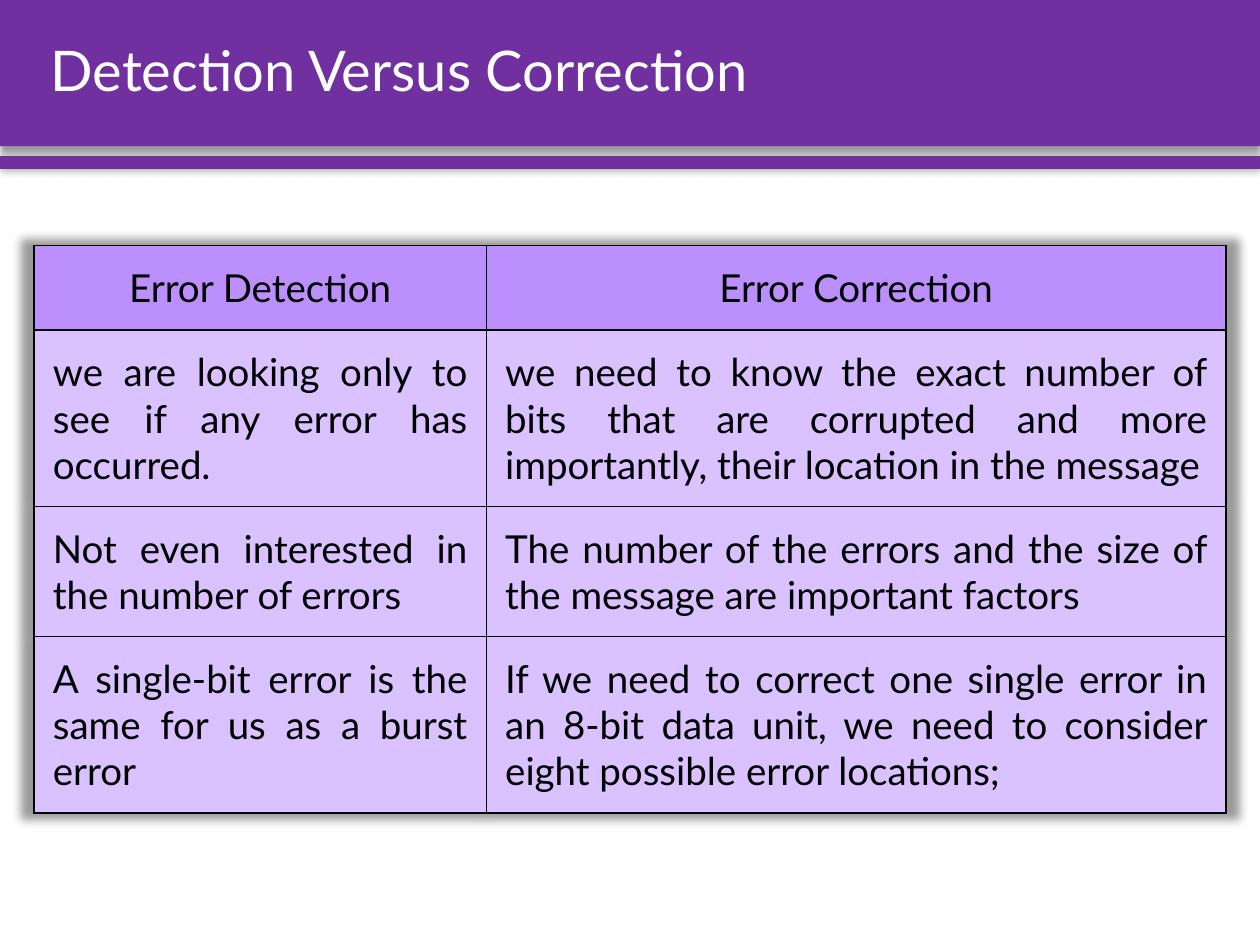
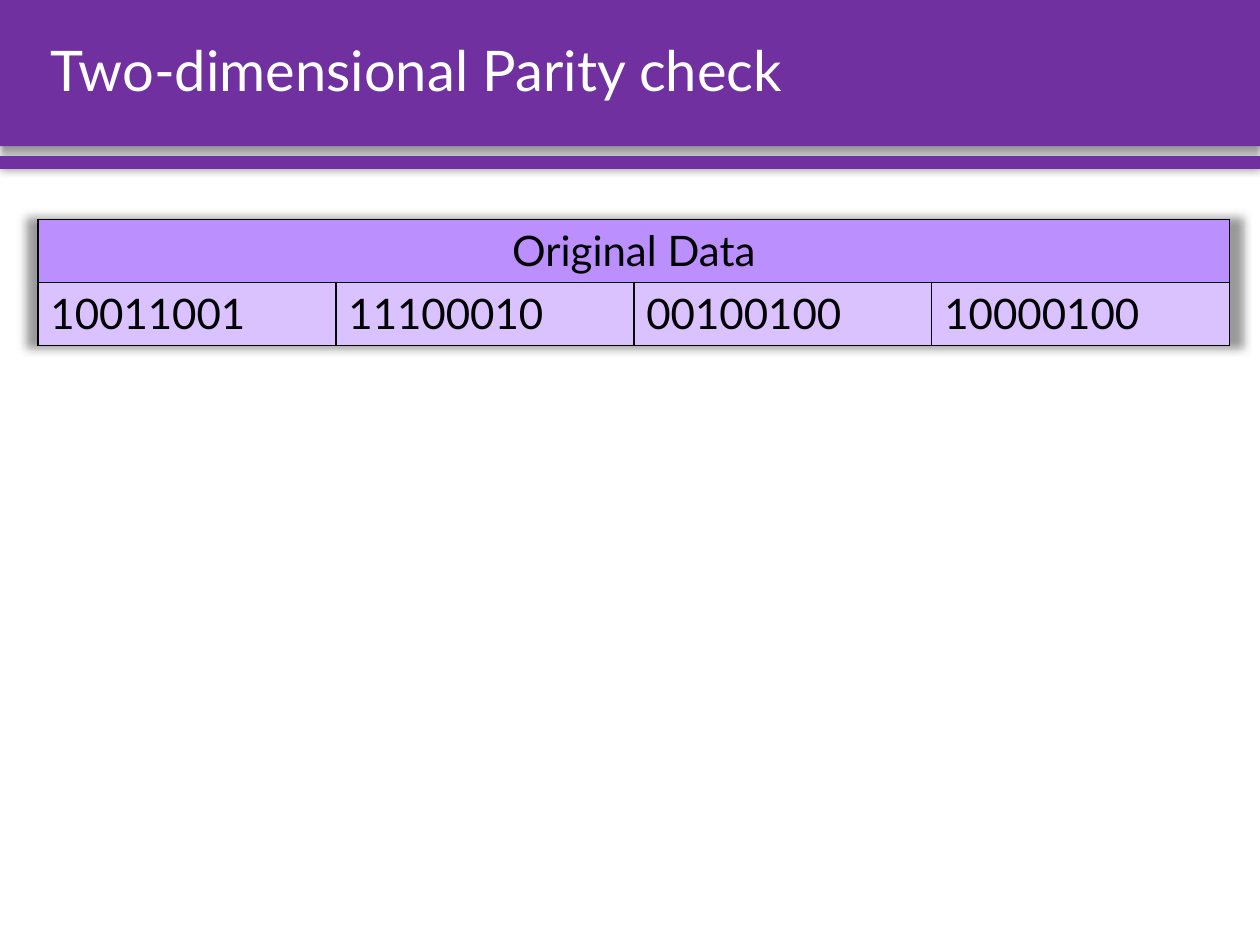
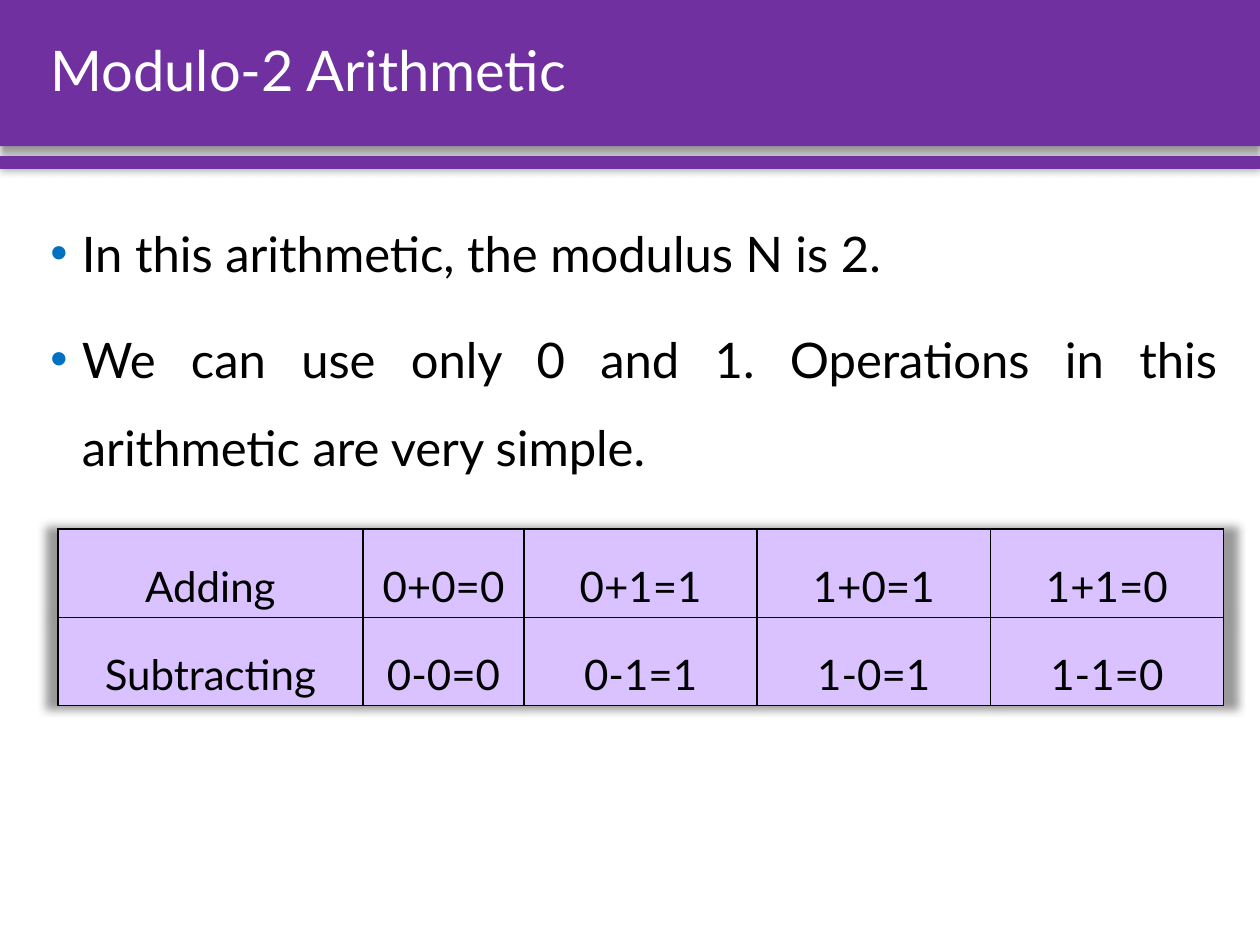
from lxml import etree
from pptx import Presentation
from pptx.dml.color import RGBColor
from pptx.enum.shapes import MSO_SHAPE
from pptx.enum.text import MSO_ANCHOR, MSO_AUTO_SIZE, PP_ALIGN
from pptx.oxml.ns import qn
from pptx.util import Inches, Pt

RECTANGLE = MSO_SHAPE.RECTANGLE
LEFT, CENTER, JUSTIFY = PP_ALIGN.LEFT, PP_ALIGN.CENTER, PP_ALIGN.JUSTIFY
TOP, MIDDLE = MSO_ANCHOR.TOP, MSO_ANCHOR.MIDDLE
NO_AUTOFIT = MSO_AUTO_SIZE.NONE

WIDTH, HEIGHT = 10, 7.5
FONT = "Lato"
PURPLE, HEADER_LILAC, CELL_LILAC = "7030A0", "BC8FFF", "DAC1FF"
WHITE, BLACK, BULLET_BLUE = "FFFFFF", "000000", "0070C0"
TEXT_LEFT, TEXT_WIDTH = 0.3, 9.46
TITLE_HEIGHT = 1.16
TITLE_ONLY, TITLE_AND_BODY = 5, 1

COMPARISON = [
    ["Error Detection", "Error Correction"],
    ["we are looking only to see if any error has occurred.",
     "we need to know the exact number of bits that are corrupted and more "
     "importantly, their location in the message"],
    ["Not even interested in the number of errors",
     "The number of the errors and the size of the message are important factors"],
    ["A single-bit error is the same for us as a burst error",
     "If we need to correct one single error in an 8-bit data unit, we need to "
     "consider eight possible error locations;"],
]
PARITY_DATA = [
    ["Original Data", "", "", ""],
    ["10011001", "11100010", "00100100", "10000100"],
]
MODULO_RULES = [
    ["Adding", "0+0=0", "0+1=1", "1+0=1", "1+1=0"],
    ["Subtracting", "0-0=0", "0-1=1", "1-0=1", "1-1=0"],
]
MODULO_POINTS = [
    "In this arithmetic, the modulus N is 2.",
    "We can use only 0 and 1. Operations in this arithmetic are very simple.",
]


def rgb(value):
    """Turn a hex string into a colour."""
    return RGBColor.from_string(value)


def set_all(target, values):
    """Set each attribute of target from a dict."""
    for name, value in values.items():
        setattr(target, name, value)


def add_xml(parent, tag, **attributes):
    """Append a DrawingML element with the given attributes."""
    child = etree.SubElement(parent, qn(tag))
    for name, value in attributes.items():
        child.set(name, str(value))
    return child


def add_shadow(effects, blur, **attributes):
    """Put a soft black shadow in an effect list."""
    shadow = add_xml(effects, "a:outerShdw", blurRad=Pt(blur), **attributes)
    black = add_xml(shadow, "a:srgbClr", val=BLACK)
    add_xml(black, "a:alpha", val=40000)


def write(paragraph, text, size, color, **layout):
    """Write one formatted run into a paragraph."""
    set_all(paragraph, layout)
    run = paragraph.add_run()
    run.text = text
    set_all(run.font, {"name": FONT, "size": Pt(size), "bold": False})
    run.font.color.rgb = rgb(color)


def place(shape, left, top, width, height):
    """Move and size a shape, in inches."""
    set_all(shape, {"left": Inches(left), "top": Inches(top),
                    "width": Inches(width), "height": Inches(height)})


def add_band(slide, master, top, height, blur, **shadow):
    """Draw a full-width band and hand it to the master."""
    band = slide.shapes.add_shape(RECTANGLE, 0, Inches(top), Inches(WIDTH), Inches(height))
    band.fill.solid()
    band.fill.fore_color.rgb = rgb(PURPLE)
    band.line.fill.background()
    band.shadow.inherit = False
    add_shadow(band.element.spPr.find(qn("a:effectLst")), blur, **shadow)
    master.shapes.element.insert(2, band.element)


def style_master(slide, master):
    """Set the bands and the text areas that all slides share."""
    title, body = master.placeholders[0], master.placeholders[1]
    place(title, TEXT_LEFT, 0, TEXT_WIDTH, TITLE_HEIGHT)
    place(body, TEXT_LEFT, 1.49, TEXT_WIDTH, 2.71)
    for area, anchor in ((title, MIDDLE), (body, TOP)):
        set_all(area.text_frame, {"vertical_anchor": anchor, "auto_size": NO_AUTOFIT})
    add_band(slide, master, 1.24, 0.1, 5)
    add_band(slide, master, 0, TITLE_HEIGHT, 4, dist=Pt(3), dir=90 * 60000)


def add_slide(deck, layout, title):
    """Add a slide with its title."""
    slide = deck.slides.add_slide(deck.slide_layouts[layout])
    write(slide.shapes.title.text_frame.paragraphs[0], title, 32, WHITE,
          alignment=LEFT, line_spacing=0.9)
    return slide


def add_bullets(slide, points):
    """Fill the body placeholder with a bulleted list."""
    frame = slide.placeholders[1].text_frame
    for index, point in enumerate(points):
        paragraph = frame.add_paragraph() if index else frame.paragraphs[0]
        properties = paragraph._p.get_or_add_pPr()
        properties.set("marL", str(Inches(0.25)))
        properties.set("indent", str(-Inches(0.25)))
        add_xml(add_xml(properties, "a:buClr"), "a:srgbClr", val=BULLET_BLUE)
        add_xml(properties, "a:buFont", typeface="Arial")
        add_xml(properties, "a:buChar", char="•")
        write(paragraph, point, 28, BLACK, alignment=JUSTIFY, line_spacing=1.5,
              space_before=Pt(10 if index else 0))


def style_cell(cell, fill, inset):
    """Give a cell its borders, fill and optional equal margins."""
    properties = cell._tc.get_or_add_tcPr()
    for side in "LRTB":
        border = add_xml(properties, f"a:ln{side}", w=Pt(1))
        add_xml(add_xml(border, "a:solidFill"), "a:srgbClr", val=BLACK)
    cell.fill.solid()
    cell.fill.fore_color.rgb = rgb(fill)
    if inset:
        sides = ("left", "right", "top", "bottom")
        set_all(cell, {f"margin_{side}": Inches(inset) for side in sides})


def add_grid(slide, rows, left, top, widths, heights, size, align,
             header=False, inset=None, spacing=1.0):
    """Add a shadowed table, with a header row if asked."""
    frame = slide.shapes.add_table(len(rows), len(widths), Inches(left), Inches(top),
                                   Inches(sum(widths)), Inches(sum(heights)))
    table = frame.table
    set_all(table, {"first_row": False, "horz_banding": False})
    effects = etree.Element(qn("a:effectLst"))
    add_shadow(effects, 5, sx=102000, sy=102000, algn="ctr", rotWithShape=0)
    table._tbl.tblPr.insert(0, effects)
    for column, width in zip(table.columns, widths):
        column.width = Inches(width)
    for r, (texts, height) in enumerate(zip(rows, heights)):
        table.rows[r].height = Inches(height)
        is_header = header and r == 0
        for c, text in enumerate(texts):
            cell = table.cell(r, c)
            style_cell(cell, HEADER_LILAC if is_header else CELL_LILAC, inset)
            if text:
                write(cell.text_frame.paragraphs[0], text, size, BLACK,
                      alignment=CENTER if is_header else align, line_spacing=spacing)
    return table


def main():
    """Build the three slides."""
    deck = Presentation()
    set_all(deck, {"slide_width": Inches(WIDTH), "slide_height": Inches(HEIGHT)})

    comparison = add_slide(deck, TITLE_ONLY, "Detection Versus Correction")
    style_master(comparison, deck.slide_master)
    add_grid(comparison, COMPARISON, 0.27, 1.95, [3.59, 5.87], [0.67, 1.4, 1.03, 1.4],
             22, JUSTIFY, header=True, inset=0.15)

    parity = add_slide(deck, TITLE_ONLY, "Two-dimensional Parity check")
    data = add_grid(parity, PARITY_DATA, 0.3, 1.74, [TEXT_WIDTH / 4] * 4, [0.5] * 2,
                    24, LEFT, header=True)
    data.cell(0, 0).merge(data.cell(0, 3))

    modulo = add_slide(deck, TITLE_AND_BODY, "Modulo-2 Arithmetic")
    add_bullets(modulo, MODULO_POINTS)
    add_grid(modulo, MODULO_RULES, 0.46, 4.2, [2.42, 1.28] + [1.85] * 3, [0.7] * 2,
             24, CENTER, spacing=1.5)

    deck.save("out.pptx")


if __name__ == "__main__":
    main()
